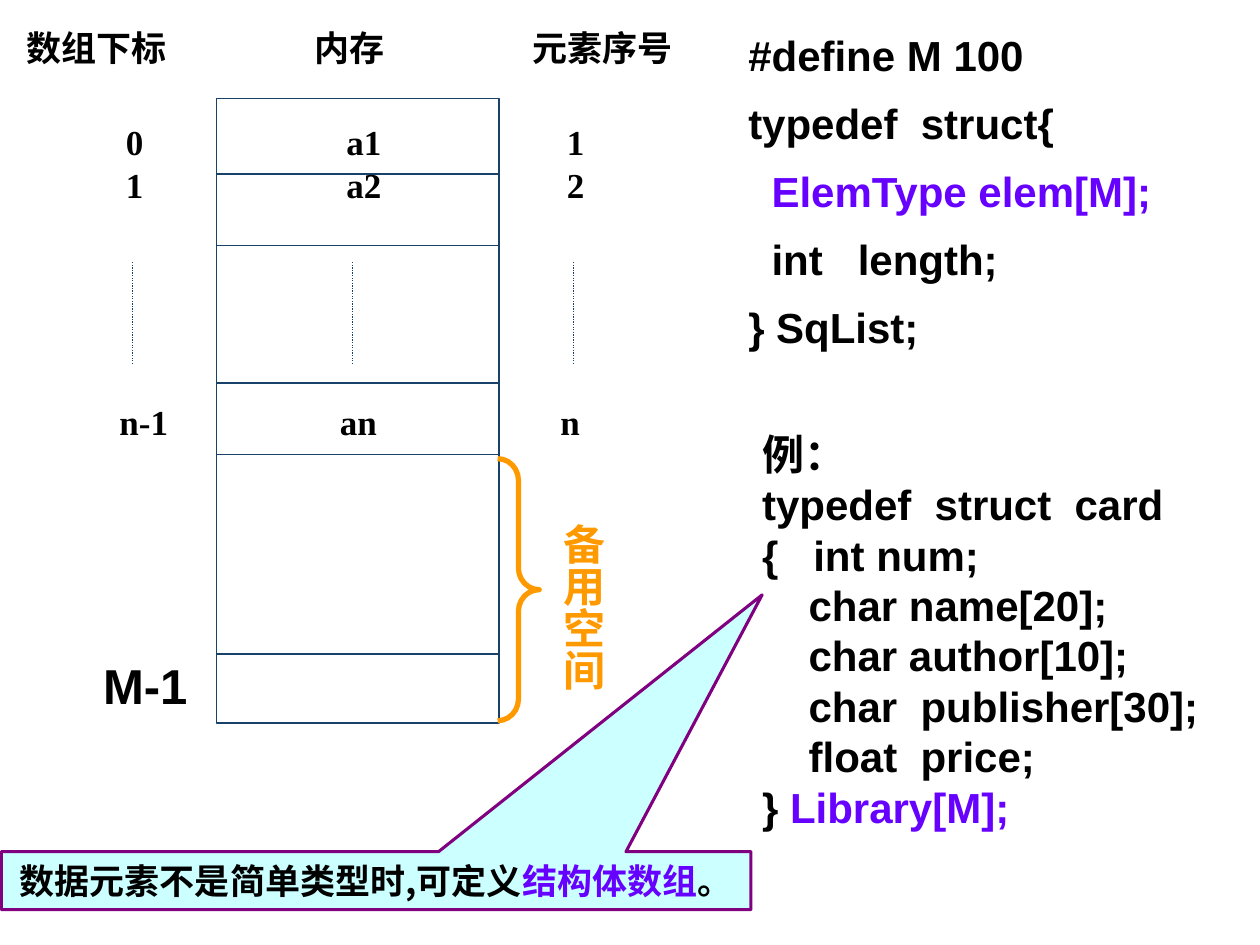
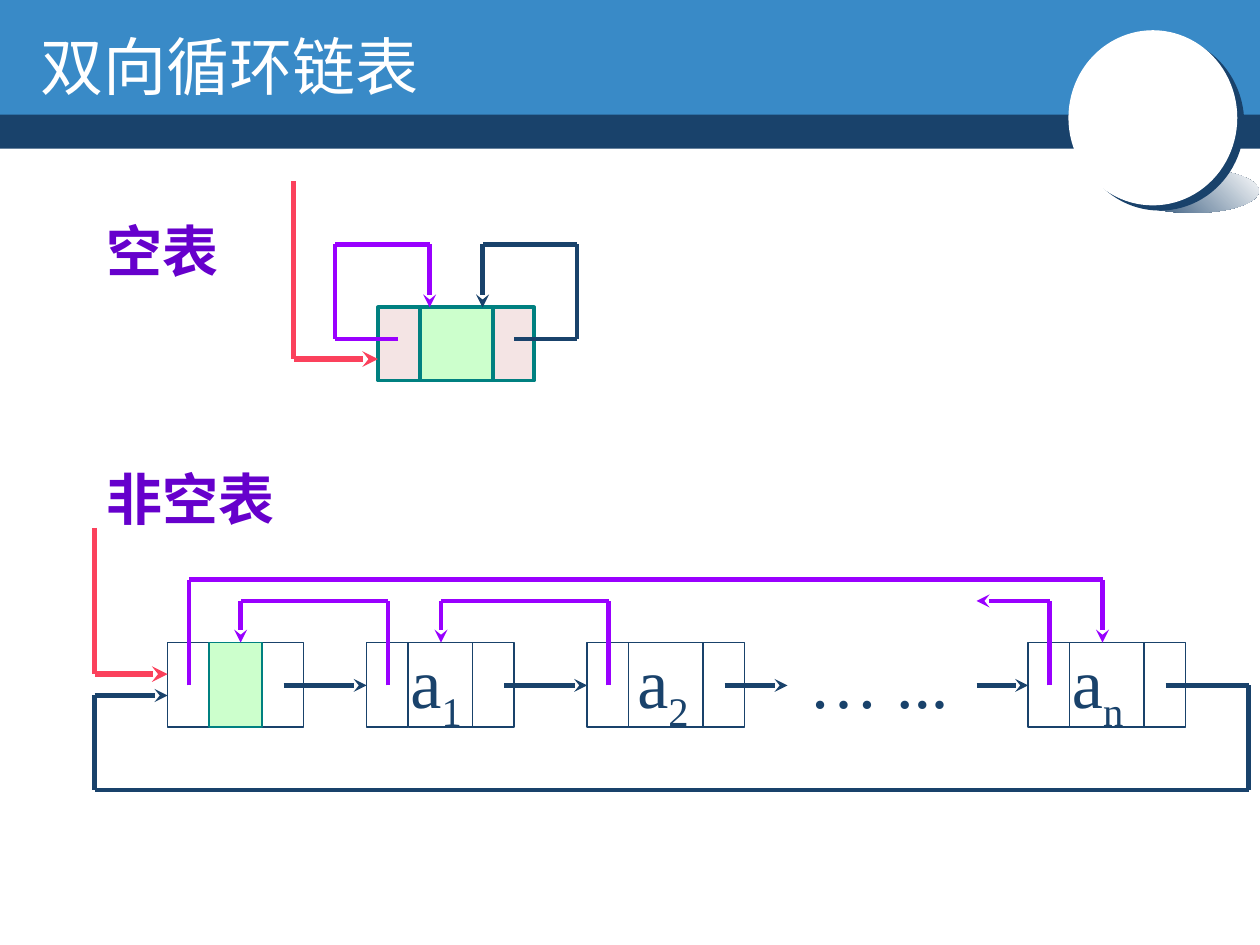
from itertools import pairwise

from lxml import etree
from pptx import Presentation
from pptx import util as u
from pptx.dml.color import RGBColor
from pptx.enum import dml, shapes, text
from pptx.oxml.ns import qn

NAVY, BLUE, WHITE, BLACK = "19426B", "398AC7", "FFFFFF", "000000"
VIOLET, PURPLE, INDIGO = "6600FF", "9900FF", "6600CC"
ORANGE, RED, TEAL = "FF9900", "FB415C", "008080"
GREEN, PINK, AQUA, PLUM = "CCFFCC", "F4E4E4", "CCFFFF", "800080"
SERIF, SANS, CJK = "Times New Roman", "Arial", "Noto Sans CJK SC"
NODE_HEIGHT = 0.67
LINK_WIDTH = 0.33


def rgb(value):
    return RGBColor.from_string(value)


def style_font(font, size, name, color, bold):
    font.size, font.name, font.bold = u.Pt(size), name, bold
    font.color.rgb = rgb(color)


def write_spans(para, spans, size, name, color, bold):
    style_font(para.font, size, name, color, bold)
    for span in spans:
        words, span_color = span if isinstance(span, tuple) else (span, color)
        run = para.add_run()
        run.text = words
        run.font.color.rgb = rgb(span_color)


def add_text(page, box, lines, size=20, name=SERIF, color=BLACK, bold=True,
             gap=0, spacing=None, anchor=text.MSO_ANCHOR.TOP):
    shape = page.shapes.add_textbox(*map(u.Inches, box))
    frame = shape.text_frame
    frame.word_wrap = True
    frame.vertical_anchor = anchor
    for number, spans in enumerate(lines):
        para = frame.add_paragraph() if number else frame.paragraphs[0]
        if number and gap:
            para.space_before = u.Pt(gap)
        if spacing:
            para.line_spacing = spacing
        write_spans(para, spans, size, name, color, bold)
    return shape


def add_shape(page, kind, box, fill=None, line=None, weight=0.75):
    shape = page.shapes.add_shape(kind, *map(u.Inches, box))
    shape.shadow.inherit = False
    if fill:
        shape.fill.solid()
        shape.fill.fore_color.rgb = rgb(fill)
    else:
        shape.fill.background()
    if line:
        shape.line.color.rgb = rgb(line)
        shape.line.width = u.Pt(weight)
    else:
        shape.line.fill.background()
    return shape


def add_line(page, start, end, color=NAVY, weight=0.75, dotted=False, arrow=False):
    line = page.shapes.add_connector(
        shapes.MSO_CONNECTOR.STRAIGHT, *map(u.Inches, (*start, *end)))
    line.line.color.rgb = rgb(color)
    line.line.width = u.Pt(weight)
    if dotted:
        line.line.dash_style = dml.MSO_LINE.ROUND_DOT
    if arrow:
        etree.SubElement(line.line._get_or_add_ln(), qn("a:tailEnd"), type="stealth")
    etree.SubElement(line._element.spPr, qn("a:effectLst"))


def add_route(page, points, color=NAVY, weight=2.5, arrow=True):
    legs = list(pairwise(points))
    for number, (start, end) in enumerate(legs, 1):
        add_line(page, start, end, color, weight, arrow=arrow and number == len(legs))


def draw_memory(page, left, top, width, height):
    add_shape(page, shapes.MSO_SHAPE.RECTANGLE, (left, top, width, height), line=NAVY)
    for offset in (0.6, 1.17, 2.26, 2.83, 4.41):
        add_line(page, (left, top + offset), (left + width, top + offset))

    columns = (-0.82, 0.93, 2.68)
    rows = ((0.13, 0, "0", "a1", "1"),
            (0.47, 0, "1", "a2", "2"),
            (2.35, -0.05, "n-1", "an", "n"))
    for offset, shift, *labels in rows:
        for column, label in zip(columns, labels):
            add_text(page, (left + column + shift, top + offset, 0.7, 0.43), [[label]])
    for column in columns:
        dots = left + column + 0.15
        add_line(page, (dots, top + 1.3), (dots, top + 2.11), dotted=True)

    for column, heading in ((-1.61, "数组下标"), (0.68, "内存"), (2.41, "元素序号")):
        add_text(page, (left + column, top - 0.62, 1.4, 0.43), [[heading]])
    add_text(page, (left - 1, top + 4.37, 0.95, 0.57), [["M-1"]], 28, SANS)


def draw_spare_space(page, left, top, height):
    brace = add_shape(page, shapes.MSO_SHAPE.RIGHT_BRACE, (left, top, 0.33, height),
                      line=ORANGE, weight=3)
    brace.adjustments[0] = 0.52
    label = add_text(page, (left + 0.33, top + 0.42, 0.6, 1.55), [["备用空间"]],
                     24, color=ORANGE)
    label.text_frame._txBody.bodyPr.set("vert", "eaVert")


def draw_callout(page, box):
    callout = add_shape(page, shapes.MSO_SHAPE.RECTANGULAR_CALLOUT, box, AQUA, PLUM, 1.75)
    callout.adjustments[0] = 0.515
    callout.adjustments[1] = -4.934
    frame = callout.text_frame
    frame.word_wrap = False
    frame.vertical_anchor = text.MSO_ANCHOR.MIDDLE
    para = frame.paragraphs[0]
    para.alignment = text.PP_ALIGN.CENTER
    spans = ["数据元素不是简单类型时,可定义", ("结构体数组", VIOLET), "。"]
    write_spans(para, spans, 20, CJK, BLACK, True)


def build_sequence_page(deck):
    page = deck.slides.add_slide(deck.slide_layouts[6])
    list_code = [["#define M 100"], ["typedef  struct{"],
                 ["  ", ("ElemType elem[M];", VIOLET)],
                 ["  int   length;"], ["} SqList;"]]
    add_text(page, (5.84, 0.23, 3.81, 2.7), list_code, 24, SANS, gap=13, spacing=0.9)
    draw_memory(page, 1.72, 0.78, 2.24, 4.96)
    draw_spare_space(page, 3.95, 3.64, 2.08)
    draw_callout(page, (0.01, 6.76, 5.95, 0.46))
    card_code = [["例："], ["typedef  struct  card"], ["{   int num;"],
                 ["    char name[20];"], ["    char author[10];"],
                 ["    char  publisher[30];"], ["    float  price;"],
                 ["} ", ("Library[M];", VIOLET)]]
    add_text(page, (5.95, 3.35, 3.87, 3.3), card_code, 24, SANS,
             anchor=text.MSO_ANCHOR.MIDDLE)


def draw_banner(page, title):
    add_shape(page, shapes.MSO_SHAPE.RECTANGLE, (0, 0.84, 10, 0.34), NAVY)
    add_shape(page, shapes.MSO_SHAPE.RECTANGLE, (0, 0, 10, 0.91), BLUE)
    shade = add_shape(page, shapes.MSO_SHAPE.OVAL, (8.94, 1.34, 1.05, 0.35))
    shade.fill.gradient()
    shade.fill.gradient_angle = 45
    for stop, color in zip(shade.fill.gradient_stops, (NAVY, WHITE)):
        stop.color.rgb = rgb(color)
    disc = add_shape(page, shapes.MSO_SHAPE.OVAL, (8.48, 0.24, 1.34, 1.39), WHITE)
    effects = disc._element.spPr.find(qn("a:effectLst"))
    shadow = etree.SubElement(effects, qn("a:outerShdw"), dist=str(u.Pt(5)),
                              dir=str(37 * 60000), algn="ctr", rotWithShape="0")
    etree.SubElement(shadow, qn("a:srgbClr"), val=NAVY)

    holder = page.shapes.title
    page.shapes._spTree.append(holder._element)
    holder.left, holder.top, holder.width, holder.height = map(
        u.Inches, (0.22, 0.17, 6, 0.7))
    frame = holder.text_frame
    frame.auto_size = text.MSO_AUTO_SIZE.NONE
    frame.vertical_anchor = text.MSO_ANCHOR.TOP
    para = frame.paragraphs[0]
    para.alignment = text.PP_ALIGN.LEFT
    write_spans(para, [title], 36, SERIF, WHITE, False)


def draw_node(page, left, top, height, data_width, link_fill=None, data_fill=None,
              link_line=NAVY, data_line=NAVY, weight=0.75):
    data_left = left + LINK_WIDTH
    cells = ((left, LINK_WIDTH, link_fill, link_line),
             (data_left + data_width, LINK_WIDTH, link_fill, link_line),
             (data_left, data_width, data_fill, data_line))
    for cell_left, width, fill, line in cells:
        add_shape(page, shapes.MSO_SHAPE.RECTANGLE, (cell_left, top, width, height),
                  fill, line, weight)


def add_element(page, left, top, letter, subscript=None):
    label = add_text(page, (left, top, 1.4, 0.8), [[letter]], 40, color=NAVY, bold=False)
    if subscript:
        run = label.text_frame.paragraphs[0].add_run()
        run.text = subscript
        run._r.get_or_add_rPr().set("baseline", "-25000")


def draw_empty_list(page, left, top):
    add_text(page, (left, top, 1.3, 0.63), [["空表"]], 32, color=INDIGO)
    node_left, node_top = left + 2.25, top + 0.77
    draw_node(page, node_left, node_top, 0.58, 0.58, PINK, GREEN, TEAL, TEAL, 2.25)
    middle = node_left + 0.62
    level, loop_top = node_top + 0.25, node_top - 0.5
    for side, color in ((1, NAVY), (-1, PURPLE)):
        link, far, entry = (middle + side * reach for reach in (0.46, 0.96, 0.21))
        add_route(page, [(link, level), (far, level), (far, loop_top),
                         (entry, loop_top), (entry, node_top)], color)
    head = node_left - 0.67
    add_route(page, [(head, top - 0.23), (head, node_top + 0.41),
                     (node_left, node_top + 0.41)], RED, 3)


def draw_filled_list(page, left, top):
    add_text(page, (left, top, 1.75, 0.63), [["非空表"]], 32, color=INDIGO)
    node_top = top + 1.46
    level, low_loop, high_loop = node_top + 0.34, node_top - 0.33, node_top - 0.5
    header, first, second, last = (left + offset for offset in (0.58, 2.16, 3.91, 7.41))
    draw_node(page, header, node_top, NODE_HEIGHT, 0.42, None, GREEN, NAVY, TEAL)
    for node, width in ((first, 0.51), (second, 0.59), (last, 0.59)):
        draw_node(page, node, node_top, NODE_HEIGHT, width)

    label_top = node_top - 0.08
    add_element(page, first + 0.25, label_top, "a", "1")
    add_element(page, second + 0.3, label_top, "a", "2")
    add_element(page, last + 0.25, label_top, "a", "n")
    add_element(page, second + 1.66, label_top, "… ...")

    for start, end in ((header + 0.92, first), (first + 1.09, second),
                       (second + 1.09, second + 1.59), (last - 0.41, last)):
        add_route(page, [(start, level), (end, level)])
    for node, entry in ((first, header + 0.58), (second, first + 0.59)):
        link = node + 0.17
        add_route(page, [(link, level), (link, low_loop), (entry, low_loop),
                         (entry, node_top)], PURPLE)
    add_route(page, [(last + 0.17, level), (last + 0.17, low_loop),
                     (last - 0.41, low_loop)], PURPLE)
    add_route(page, [(header + 0.17, level), (header + 0.17, high_loop),
                     (last + 0.59, high_loop), (last + 0.59, node_top)], PURPLE)

    far, bottom, entry = last + 1.75, node_top + 1.17, node_top + 0.42
    add_route(page, [(last + 1.09, level), (far, level), (far, bottom),
                     (left, bottom), (left, entry), (header, entry)])
    add_route(page, [(left, top + 0.55), (left, node_top + 0.25),
                     (header, node_top + 0.25)], RED, 3)


def build_linked_list_page(deck):
    page = deck.slides.add_slide(deck.slide_layouts[5])
    draw_banner(page, "双向循环链表")
    draw_empty_list(page, 0.75, 1.67)
    draw_filled_list(page, 0.75, 3.64)


def main():
    deck = Presentation()
    deck.slide_width, deck.slide_height = u.Inches(10), u.Inches(7.5)
    build_sequence_page(deck)
    build_linked_list_page(deck)
    deck.save("out.pptx")


if __name__ == "__main__":
    main()
